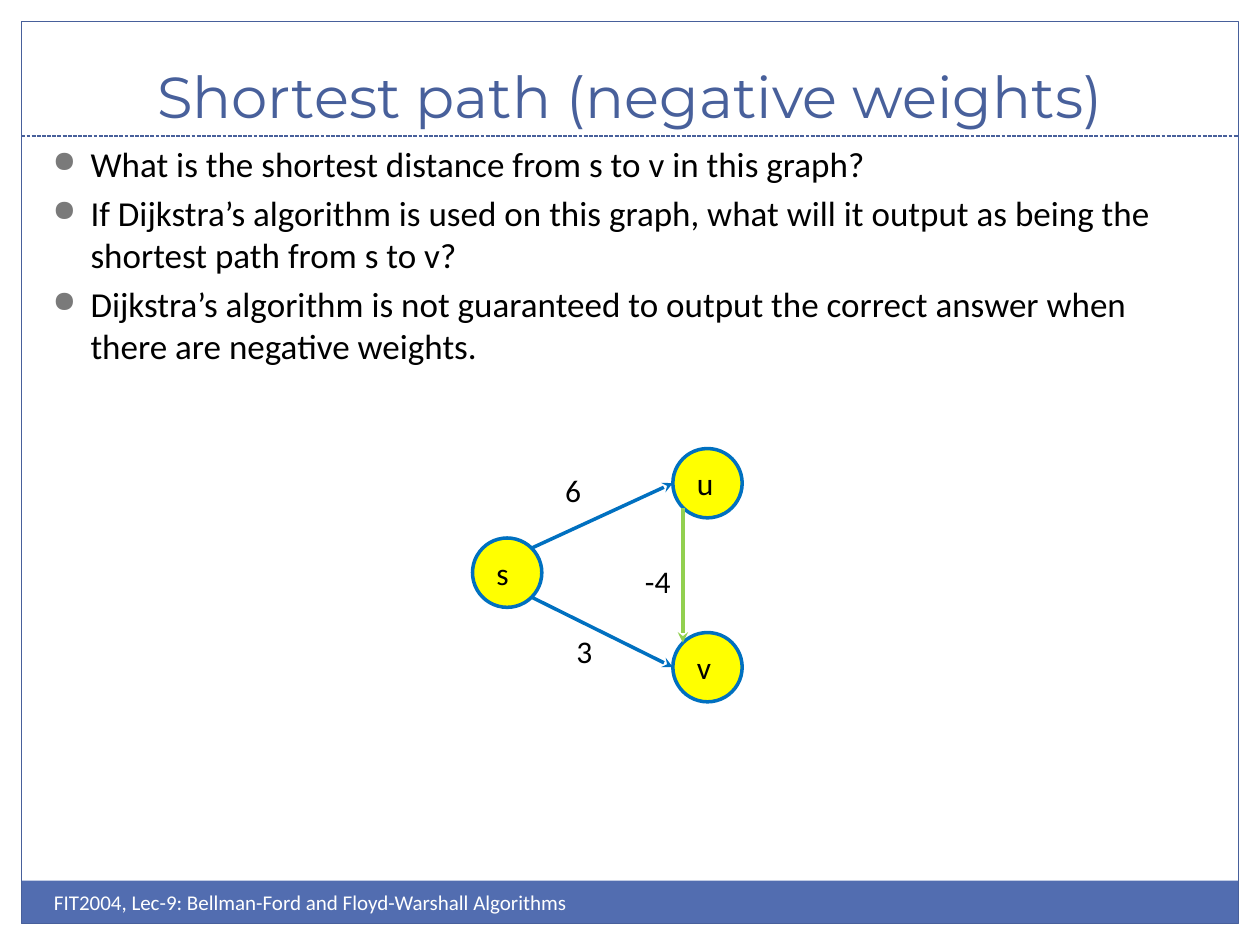
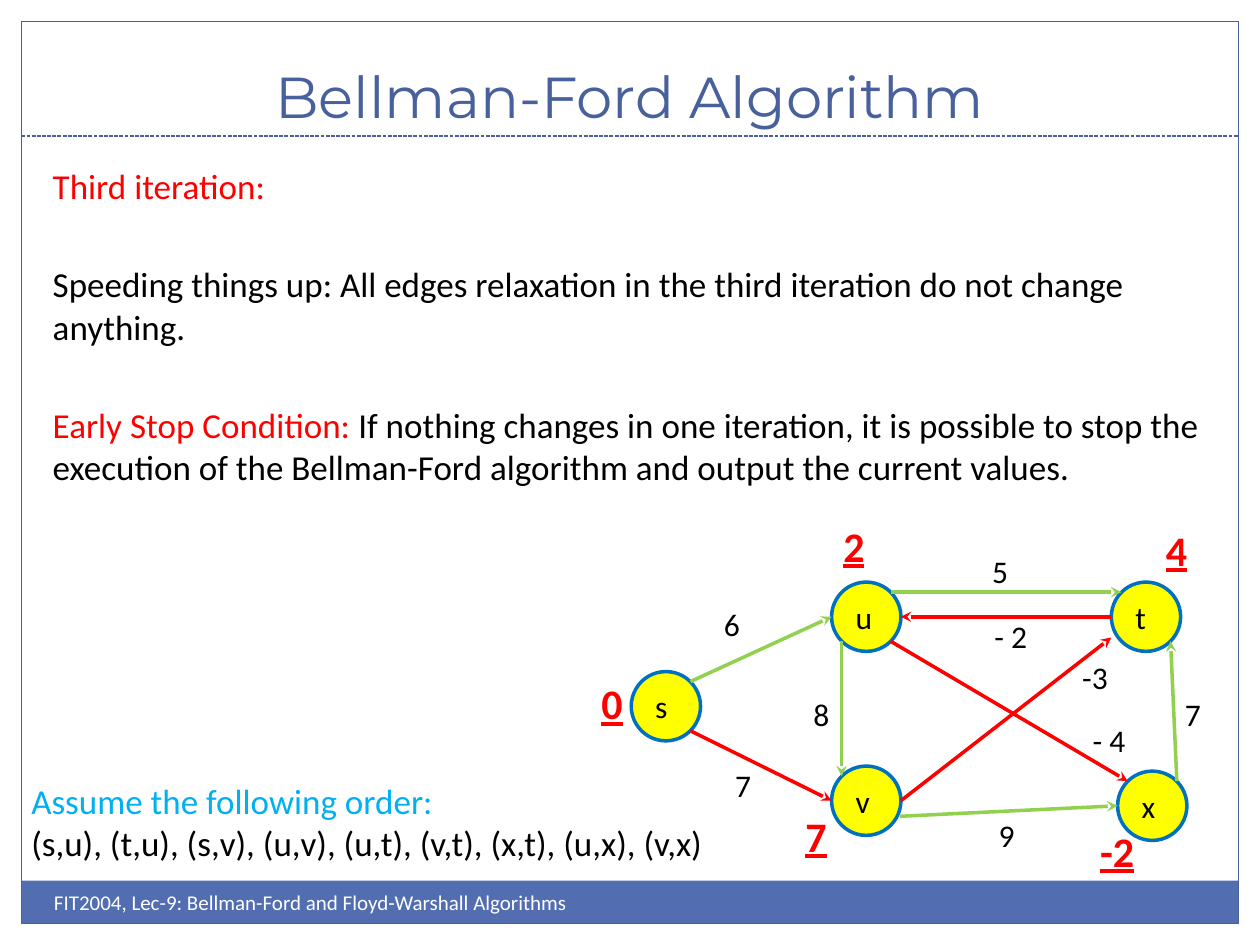
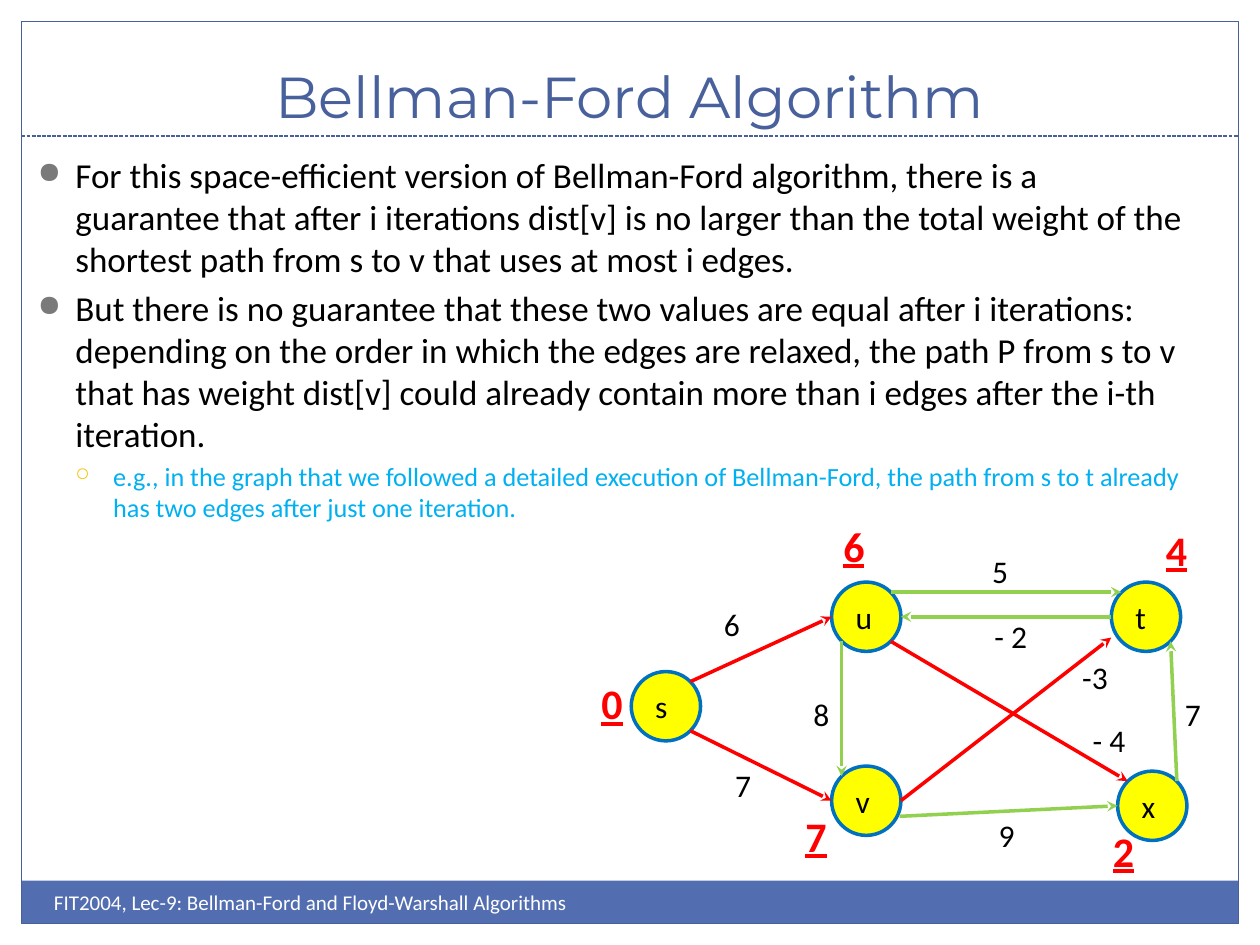
from collections import namedtuple

from lxml.etree import SubElement
from pptx import Presentation
from pptx.dml.color import RGBColor
from pptx.enum.dml import MSO_LINE
from pptx.enum.shapes import MSO_CONNECTOR, MSO_SHAPE
from pptx.enum.text import MSO_ANCHOR, PP_ALIGN
from pptx.oxml.ns import qn
from pptx.util import Inches, Pt

# The slide is a grid of 100 columns and 75 rows
COLUMNS, ROWS = 100, 75
SLIDE_WIDTH, SLIDE_HEIGHT = Inches(10), Inches(7.5)

COLOURS = {
    "frame": "48609B", "band": "526DB0", "white": "FFFFFF", "black": "000000",
    "red": "FF0000", "green": "92D050", "blue": "0070C0", "sky": "00B0F0",
    "node": "FFFF00", "grey": "7A7A7A", "gold": "F5C201",
}
BODY_FONT, TITLE_FONT = "Calibri", "Montserrat"
FOOTER = "FIT2004, Lec-9: Bellman-Ford and Floyd-Warshall Algorithms"

Box = namedtuple("Box", "left top width height")
Run = namedtuple("Run", "text colour")
Bullet = namedtuple("Bullet", "symbol colour percent size text_colour margin")
Edge = namedtuple("Edge", "leave enter label")

FRAME = Box(1.7, 1.7, 96.6, 71.6)
LEVELS = [Bullet("●", "grey", 85, 20, "black", 0.3),
          Bullet("○", "gold", 70, 15, "sky", 0.6)]

# Graph geometry in grid units from the top left of the graph
NODE_SIZE = 5.5
NODES = {"s": (0, 7.1), "u": (15.9, 0), "v": (15.9, 14.6),
         "t": (38.1, 0), "x": (38.6, 15)}
# Places on a node's rim, in radii from its centre
PORTS = {"e": (1, 0), "w": (-1, 0), "ne": (0.71, -0.71), "nw": (-0.71, -0.71),
         "se": (0.71, 0.71), "sw": (-0.71, 0.71), "ese": (0.96, 0.45), "wsw": (-1, 0.6)}
# Each label is placed by its top right corner
EDGES = {
    "su": Edge("ne", "w", (9.6, 1.3)), "sv": Edge("se", "w", (10.5, 14.1)),
    "uv": Edge("sw", "nw", (16.7, 8.5)), "ut": Edge("ne", "nw", (30.9, -2.9)),
    "tu": Edge("w", "e", (32.4, 2.3)), "ux": Edge("se", "nw", (40.2, 10.5)),
    "vt": Edge("e", "wsw", (38.8, 5.5)), "vx": Edge("ese", "w", (31.4, 18.1)),
    "xt": Edge("ne", "se", (46.2, 8.5)),
}
DISTANCES = {"s": (0.3, 7.1), "u": (19.5, -5.4), "v": (16.5, 17.6),
             "t": (45.1, -5.1), "x": (40.9, 18.8)}
FULL_WEIGHTS = {"su": "6", "sv": "7", "uv": "8", "ut": "5", "tu": "- 2",
                "ux": "- 4", "vt": "-3", "vx": "9", "xt": "7"}


def across(columns):
    return round(SLIDE_WIDTH * columns / COLUMNS)


def down(rows):
    return round(SLIDE_HEIGHT * rows / ROWS)


def place(box):
    return across(box.left), down(box.top), across(box.width), down(box.height)


def colour(name):
    return RGBColor.from_string(COLOURS[name])


def set_font(font, size, colour_name, name=BODY_FONT):
    font.size, font.name = Pt(size), name
    font.color.rgb = colour(colour_name)


def add_shape(slide, kind, box, fill=None, line=None, width=0.75):
    shape = slide.shapes.add_shape(kind, *place(box))
    shape.shadow.inherit = False
    if fill:
        shape.fill.solid()
        shape.fill.fore_color.rgb = colour(fill)
    else:
        shape.fill.background()
    if line:
        shape.line.color.rgb = colour(line)
        shape.line.width = Pt(width)
    else:
        shape.line.fill.background()
    return shape


def add_line(slide, start, end, colour_name, width):
    line = slide.shapes.add_connector(
        MSO_CONNECTOR.STRAIGHT, across(start[0]), down(start[1]), across(end[0]), down(end[1]))
    line.line.color.rgb = colour(colour_name)
    line.line.width = Pt(width)
    return line


def remove_shadow(line):
    SubElement(line._element.spPr, qn("a:effectLst"))


def add_text_frame(slide, box):
    frame = slide.shapes.add_textbox(*place(box)).text_frame
    frame.word_wrap = True
    return frame


def add_text(slide, box, text, size, colour_name, name=BODY_FONT, align=PP_ALIGN.LEFT):
    frame = add_text_frame(slide, box)
    paragraph = frame.paragraphs[0]
    paragraph.text = text
    paragraph.alignment = align
    set_font(paragraph.font, size, colour_name, name)
    return frame


def next_paragraph(frame, index):
    return frame.add_paragraph() if index else frame.paragraphs[0]


def set_bullet(paragraph, bullet):
    properties = paragraph._p.get_or_add_pPr()
    properties.set("marL", str(Inches(bullet.margin)))
    properties.set("indent", str(Inches(-0.3)))
    bullet_colour = SubElement(properties, qn("a:buClr"))
    SubElement(bullet_colour, qn("a:srgbClr"), val=COLOURS[bullet.colour])
    SubElement(properties, qn("a:buSzPct"), val=str(bullet.percent * 1000))
    SubElement(properties, qn("a:buChar"), char=bullet.symbol)


def add_bullets(slide, box, items):
    """Items are pairs of a level and a text."""
    frame = add_text_frame(slide, box)
    for index, (level, text) in enumerate(items):
        bullet = LEVELS[level]
        paragraph = next_paragraph(frame, index)
        paragraph.text = text
        paragraph.level = level
        paragraph.space_before = Pt(bullet.size * 0.2)
        set_bullet(paragraph, bullet)
        set_font(paragraph.font, bullet.size, bullet.text_colour)


def add_passages(slide, box, passages, gap):
    """Each passage is a list of coloured runs."""
    frame = add_text_frame(slide, box)
    for index, passage in enumerate(passages):
        paragraph = next_paragraph(frame, index)
        paragraph.space_before = Pt(gap if index else 4)
        for part in passage:
            run = paragraph.add_run()
            run.text = part.text
            set_font(run.font, 20, part.colour)
    return frame


def add_themed_slide(presentation, title):
    slide = presentation.slides.add_slide(presentation.slide_layouts[6])
    right = FRAME.left + FRAME.width
    # Footer band and frame
    add_shape(slide, MSO_SHAPE.RECTANGLE, Box(FRAME.left, 69.9, FRAME.width, 3.4), "band")
    add_shape(slide, MSO_SHAPE.RECTANGLE, FRAME, line="frame")
    # Rule under the title
    rule = add_line(slide, (FRAME.left, 10.8), (right, 10.8), "frame", 0.75)
    rule.line.dash_style = MSO_LINE.SQUARE_DOT
    remove_shadow(rule)
    # Title and footer text
    heading = add_text(slide, Box(0, 2.5, COLUMNS, 8.3), title, 33, "frame",
                       TITLE_FONT, PP_ALIGN.CENTER)
    heading.vertical_anchor = MSO_ANCHOR.BOTTOM
    add_text(slide, Box(3.3, 70.1, 50, 4), FOOTER, 12, "white")
    return slide


def add_node(slide, left, top, name):
    node = add_shape(slide, MSO_SHAPE.OVAL, Box(left, top, NODE_SIZE, NODE_SIZE),
                     "node", "blue", 2)
    frame = node.text_frame
    frame.margin_left = Inches(0.11)
    frame.margin_right = frame.margin_top = frame.margin_bottom = 0
    frame.vertical_anchor = MSO_ANCHOR.MIDDLE
    paragraph = frame.paragraphs[0]
    paragraph.text = name
    paragraph.alignment = PP_ALIGN.LEFT
    set_font(paragraph.font, 18, "black")


def add_arrow(slide, start, end, colour_name):
    arrow = add_line(slide, start, end, colour_name, 2)
    SubElement(arrow.line._get_or_add_ln(), qn("a:tailEnd"), type="stealth")
    remove_shadow(arrow)


def add_graph(slide, left, top, weights, edge_colours, default_colour, distances=None):
    def rim(name, port):
        radius = NODE_SIZE / 2
        return tuple(origin + offset + radius * (1 + share) for origin, offset, share
                     in zip((left, top), NODES[name], PORTS[port]))

    def label_box(corner, width, height):
        return Box(left + corner[0] - width, top + corner[1], width, height)

    # Nodes
    used = set("".join(weights))
    for name, (column, row) in NODES.items():
        if name in used:
            add_node(slide, left + column, top + row, name)
    # Edges and weights
    for key, weight in weights.items():
        edge = EDGES[key]
        add_arrow(slide, rim(key[0], edge.leave), rim(key[1], edge.enter),
                  edge_colours.get(key, default_colour))
        add_text(slide, label_box(edge.label, 6, 4), weight, 18, "black",
                 align=PP_ALIGN.RIGHT)
    # Current distances
    for name, distance in (distances or {}).items():
        frame = add_text(slide, label_box(DISTANCES[name], 6, 5), distance, 24, "red",
                         align=PP_ALIGN.RIGHT)
        font = frame.paragraphs[0].font
        font.bold = font.underline = True


def add_negative_weights_slide(presentation):
    slide = add_themed_slide(presentation, "Shortest path (negative weights)")
    add_bullets(slide, Box(3.2, 10.8, 93.2, 39.2), [
        (0, "What is the shortest distance from s to v in this graph?"),
        (0, "If Dijkstra’s algorithm is used on this graph, what will it output as being "
            "the shortest path from s to v?"),
        (0, "Dijkstra’s algorithm is not guaranteed to output the correct answer when "
            "there are negative weights."),
    ])
    add_graph(slide, 37.5, 35.6, {"su": "6", "sv": "3", "uv": "-4"},
              {"uv": "green"}, "blue")


def add_third_iteration_slide(presentation):
    slide = add_themed_slide(presentation, "Bellman-Ford Algorithm")
    add_passages(slide, Box(3.2, 12.6, 93.2, 39.2), [
        [Run("Third iteration:", "red")],
        [Run("Speeding things up: All edges relaxation in the third iteration do not "
             "change anything.", "black")],
        [Run("Early Stop Condition:", "red"),
         Run(" If nothing changes in one iteration, it is possible to stop the execution "
             "of the Bellman-Ford algorithm and output the current values.", "black")],
    ], gap=32)
    add_passages(slide, Box(1.5, 61.4, 56, 7.7), [
        [Run("Assume the following order:", "sky")],
        [Run("(s,u), (t,u), (s,v), (u,v), (u,t), (v,t), (x,t), (u,x), (v,x)", "black")],
    ], gap=0)
    add_graph(slide, 50.1, 46.2, FULL_WEIGHTS,
              dict.fromkeys(["sv", "tu", "ux", "vt"], "red"), "green",
              {"s": "0", "u": "2", "v": "7", "t": "4", "x": "-2"})


def add_guarantee_slide(presentation):
    slide = add_themed_slide(presentation, "Bellman-Ford Algorithm")
    add_bullets(slide, Box(2, 11.7, 93.2, 57.5), [
        (0, "For this space-efficient version of Bellman-Ford algorithm, there is a "
            "guarantee that after i iterations dist[v] is no larger than the total weight "
            "of the shortest path from s to v that uses at most i edges."),
        (0, "But there is no guarantee that these two values are equal after i iterations: "
            "depending on the order in which the edges are relaxed, the path P from s to v "
            "that has weight dist[v] could already contain more than i edges after the "
            "i-th iteration."),
        (1, "e.g., in the graph that we followed a detailed execution of Bellman-Ford, the "
            "path from s to t already has two edges after just one iteration."),
    ])
    add_graph(slide, 50.1, 46.2, FULL_WEIGHTS,
              dict.fromkeys(["su", "sv", "ux", "vt"], "red"), "green",
              {"s": "0", "u": "6", "v": "7", "t": "4", "x": "2"})


def main():
    presentation = Presentation()
    presentation.slide_width, presentation.slide_height = SLIDE_WIDTH, SLIDE_HEIGHT
    add_negative_weights_slide(presentation)
    add_third_iteration_slide(presentation)
    add_guarantee_slide(presentation)
    presentation.save("out.pptx")


if __name__ == "__main__":
    main()
